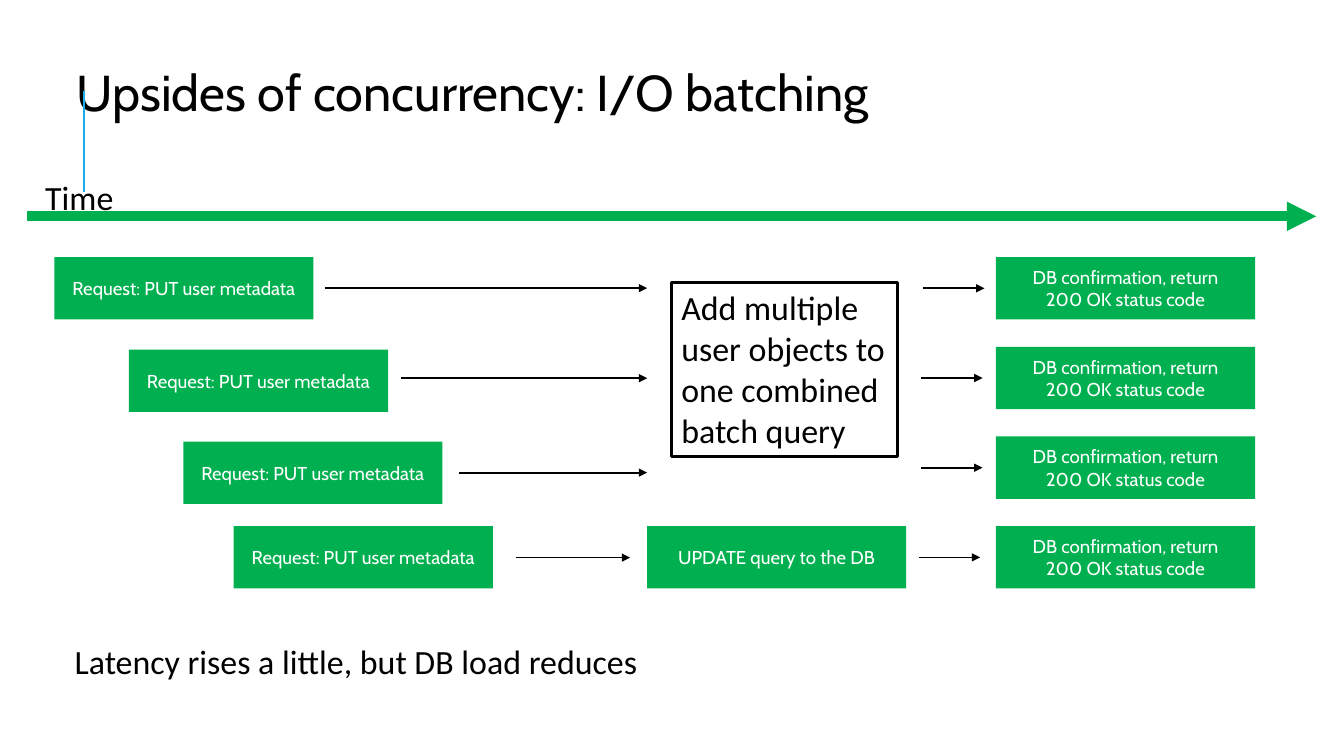
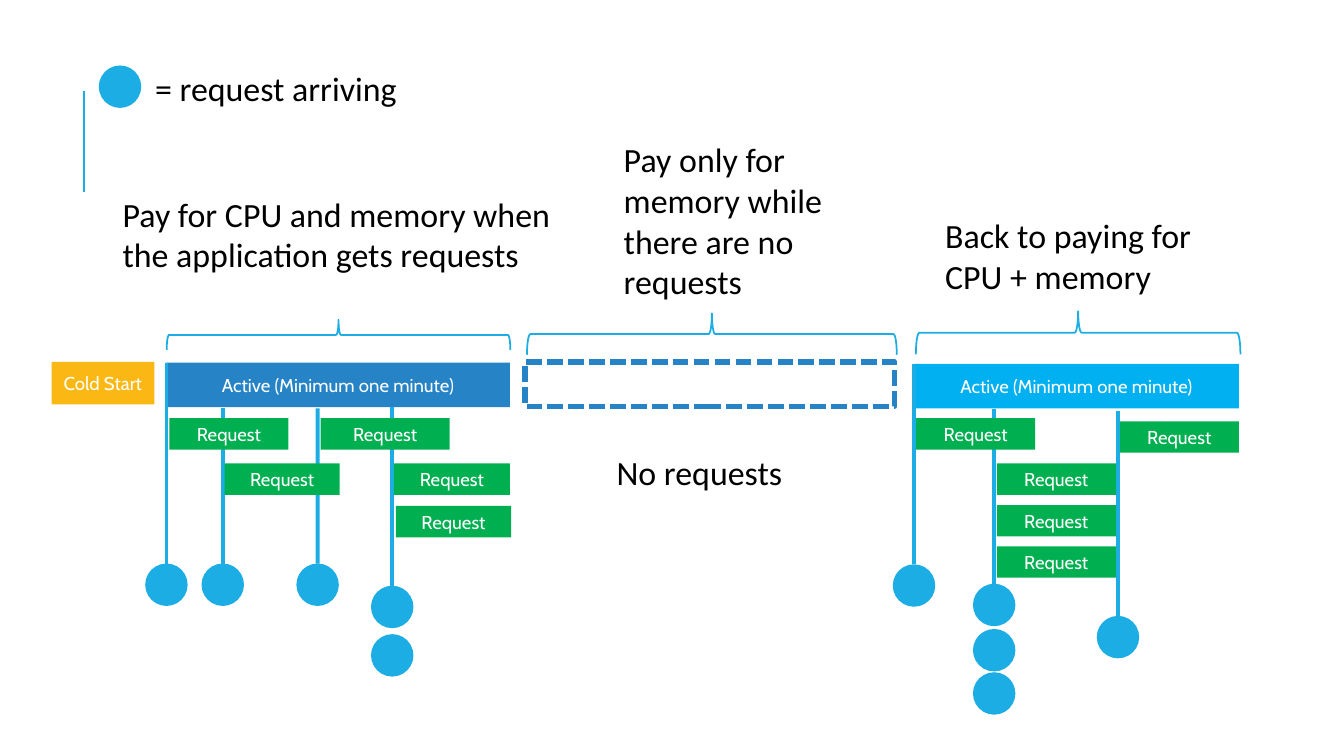
from lxml import etree
from pptx import Presentation
from pptx import util as u
from pptx.dml.color import RGBColor
from pptx.enum import dml, shapes, text
from pptx.oxml.ns import qn

BLACK = "000000"
WHITE = "FFFFFF"
GREEN = "00B050"
CYAN = "1CADE4"
BLUE = "2683C6"
SKY = "00B0F0"
AMBER = "FBB815"


def color(hex_value):
    return RGBColor.from_string(hex_value)


def set_all(target, values):
    for name, value in values.items():
        setattr(target, name, value)


class Deck:
    TITLE_FONT = {"name": "Cabin", "size": u.Pt(36)}
    BOX_FONT = {"name": "Cabin", "size": u.Pt(13.3)}
    LABEL_FONT = {"name": "Calibri", "size": u.Pt(24.2)}
    TITLE_PLACE = {"left": u.Cm(1.73), "top": u.Cm(1.45), "width": u.Cm(29.16), "height": u.Cm(3.61)}
    TITLE_FRAME = {
        "margin_left": u.Cm(0.2), "margin_right": u.Cm(0.2),
        "margin_top": u.Cm(0.1), "margin_bottom": u.Cm(0.1),
        "word_wrap": True, "auto_size": text.MSO_AUTO_SIZE.NONE,
        "vertical_anchor": text.MSO_ANCHOR.TOP,
    }
    BOX_FRAME = {
        "margin_left": 0, "margin_right": 0,
        "word_wrap": True, "vertical_anchor": text.MSO_ANCHOR.MIDDLE,
    }
    LABEL_FRAME = {"word_wrap": True, "auto_size": text.MSO_AUTO_SIZE.SHAPE_TO_FIT_TEXT}
    DOT = 1.07

    def __init__(self):
        self.presentation = Presentation()
        set_all(self.presentation, {"slide_width": u.Cm(33.87), "slide_height": u.Cm(19.05)})
        self.slide = None

    def new_slide(self, title=None):
        layout = self.presentation.slide_layouts[5 if title else 6]
        self.slide = self.presentation.slides.add_slide(layout)
        self.line(2.11, 4.83, 2.11, 2.29, CYAN, 1.5)
        if title:
            placeholder = self.slide.shapes.title
            set_all(placeholder, self.TITLE_PLACE)
            self.fill_text(placeholder, title, self.TITLE_FRAME, self.TITLE_FONT, BLACK, text.PP_ALIGN.LEFT)

    def fill_text(self, shape, words, frame_format, font_format, hex_value, alignment):
        frame = shape.text_frame
        set_all(frame, frame_format)
        frame.text = words
        for paragraph in frame.paragraphs:
            paragraph.alignment = alignment
            set_all(paragraph.font, font_format)
            paragraph.font.color.rgb = color(hex_value)

    def shape(self, kind, left, top, width, height, fill=None, outline=None, weight=1.25):
        shape = self.slide.shapes.add_shape(kind, u.Cm(left), u.Cm(top), u.Cm(width), u.Cm(height))
        shape.shadow.inherit = False
        if fill:
            shape.fill.solid()
            shape.fill.fore_color.rgb = color(fill)
        else:
            shape.fill.background()
        if outline:
            shape.line.color.rgb = color(outline)
            shape.line.width = u.Pt(weight)
        else:
            shape.line.fill.background()
        return shape

    def box(self, words, left, top, width, height, fill=GREEN):
        shape = self.shape(shapes.MSO_SHAPE.RECTANGLE, left, top, width, height, fill)
        self.fill_text(shape, words, self.BOX_FRAME, self.BOX_FONT, WHITE, text.PP_ALIGN.CENTER)

    def label(self, words, left, top, width, height, outline=None):
        shape = self.slide.shapes.add_textbox(u.Cm(left), u.Cm(top), u.Cm(width), u.Cm(height))
        self.fill_text(shape, words, self.LABEL_FRAME, self.LABEL_FONT, BLACK, text.PP_ALIGN.LEFT)
        if outline:
            shape.line.color.rgb = color(outline)
            shape.line.width = u.Pt(2.25)

    def dashed_box(self, left, top, width, height):
        shape = self.shape(shapes.MSO_SHAPE.RECTANGLE, left, top, width, height, outline=BLUE, weight=3.75)
        shape.line.dash_style = dml.MSO_LINE.SQUARE_DOT

    def line(self, x1, y1, x2, y2, hex_value, weight):
        connector = self.slide.shapes.add_connector(
            shapes.MSO_CONNECTOR.STRAIGHT, u.Cm(x1), u.Cm(y1), u.Cm(x2), u.Cm(y2))
        connector.line.color.rgb = color(hex_value)
        connector.line.width = u.Pt(weight)
        etree.SubElement(connector.element.spPr, qn("a:effectLst"))
        return connector

    def arrow(self, x1, x2, y, hex_value=BLACK, weight=1.25):
        connector = self.line(x1, y, x2, y, hex_value, weight)
        outline = connector.element.spPr.find(qn("a:ln"))
        etree.SubElement(outline, qn("a:tailEnd"), type="triangle")

    def dot(self, left, top):
        return self.shape(shapes.MSO_SHAPE.OVAL, left, top, self.DOT, self.DOT, CYAN)

    def arrival(self, left, start, tops):
        dots = [self.dot(left, top) for top in tops]
        center = left + self.DOT / 2
        self.line(center, start, center, tops[0], CYAN, 2.75).end_connect(dots[0], 0)

    def brace(self, left, top, width, height):
        shift = (width - height) / 2
        shape = self.shape(shapes.MSO_SHAPE.LEFT_BRACE, left + shift, top - shift, height, width, outline=CYAN)
        shape.rotation = 90
        shape.adjustments[0] = 0.08
        shape.adjustments[1] = 0.5


def batching_slide(deck):
    deck.new_slide("Upsides of concurrency: I/O batching")
    deck.arrow(0.69, 33.17, 5.45, GREEN, 7)
    deck.label("Time", 0.89, 4.32, 4.88, 1.3)

    box_width, box_height = 6.53, 1.57
    requests = [
        (1.37, 6.48, 8.18, 16.31, 7.26),
        (3.25, 8.81, 10.11, 16.31, 9.53),
        (4.62, 11.13, 11.56, 16.31, 11.91),
        (5.89, 13.26, 13.0, 15.88, 14.05),
    ]
    for left, top, arrow_start, arrow_end, arrow_y in requests:
        deck.box("Request: PUT user metadata", left, top, box_width, box_height)
        deck.arrow(arrow_start, arrow_end, arrow_y)

    deck.label("Add multiple user objects to one combined batch query", 16.92, 7.11, 5.69, 4.39, BLACK)
    deck.box("UPDATE query to the DB", 16.31, 13.26, box_width, box_height)

    for row, arrow_start in enumerate([23.27, 23.22, 23.22, 23.16]):
        top = 6.48 + 2.26 * row
        deck.arrow(arrow_start, arrow_start + 1.54, top + box_height / 2)
        deck.box("DB confirmation, return\n200 OK status code", 25.1, top, box_width, box_height)

    deck.label("Latency rises a little, but DB load reduces", 1.63, 16.03, 28.5, 1.3)


def billing_slide(deck):
    deck.new_slide()
    deck.dot(2.49, 1.65)
    deck.label("= request arriving", 3.66, 1.57, 7.75, 1.3)

    deck.label("Pay for CPU and memory when the application gets requests", 2.84, 4.75, 11.4, 2.31)
    deck.label("Pay only for memory while there are no requests", 15.47, 3.38, 6.15, 4.39)
    deck.label("Back to paying for CPU + memory", 23.57, 5.28, 7.65, 2.31)
    deck.label("No requests", 15.29, 11.25, 5.18, 1.3)

    deck.brace(4.2, 8.06, 8.66, 0.76)
    deck.brace(13.28, 7.9, 9.32, 1.04)
    deck.brace(23.08, 7.84, 8.18, 1.09)

    deck.box("Cold Start", 1.3, 9.12, 2.59, 1.07, AMBER)
    deck.box("Active (Minimum one minute)", 4.19, 9.14, 8.66, 1.12, BLUE)
    deck.dashed_box(13.23, 9.12, 9.32, 1.12)
    deck.box("Active (Minimum one minute)", 23.04, 9.17, 8.18, 1.12, SKY)

    arrivals = [
        (3.66, 9.14, [14.2]),
        (5.08, 10.29, [14.2]),
        (7.47, 10.29, [14.2]),
        (9.35, 10.26, [14.76, 15.98]),
        (22.5, 9.17, [14.22]),
        (24.52, 10.31, [14.71, 15.85, 16.94]),
        (27.64, 10.36, [15.52]),
    ]
    for left, start, tops in arrivals:
        deck.arrival(left, start, tops)

    requests = [
        (4.27, 10.54, 3), (5.66, 11.68, 2.9), (8.08, 10.54, 3.25),
        (9.93, 11.68, 2.92), (9.98, 12.75, 2.9), (23.09, 10.54, 3),
        (25.12, 11.68, 3), (25.12, 12.73, 3), (25.12, 13.77, 3),
        (28.22, 10.62, 3),
    ]
    for left, top, width in requests:
        deck.box("Request", left, top, width, 0.79)


def main():
    deck = Deck()
    batching_slide(deck)
    billing_slide(deck)
    deck.presentation.save("out.pptx")


if __name__ == "__main__":
    main()
